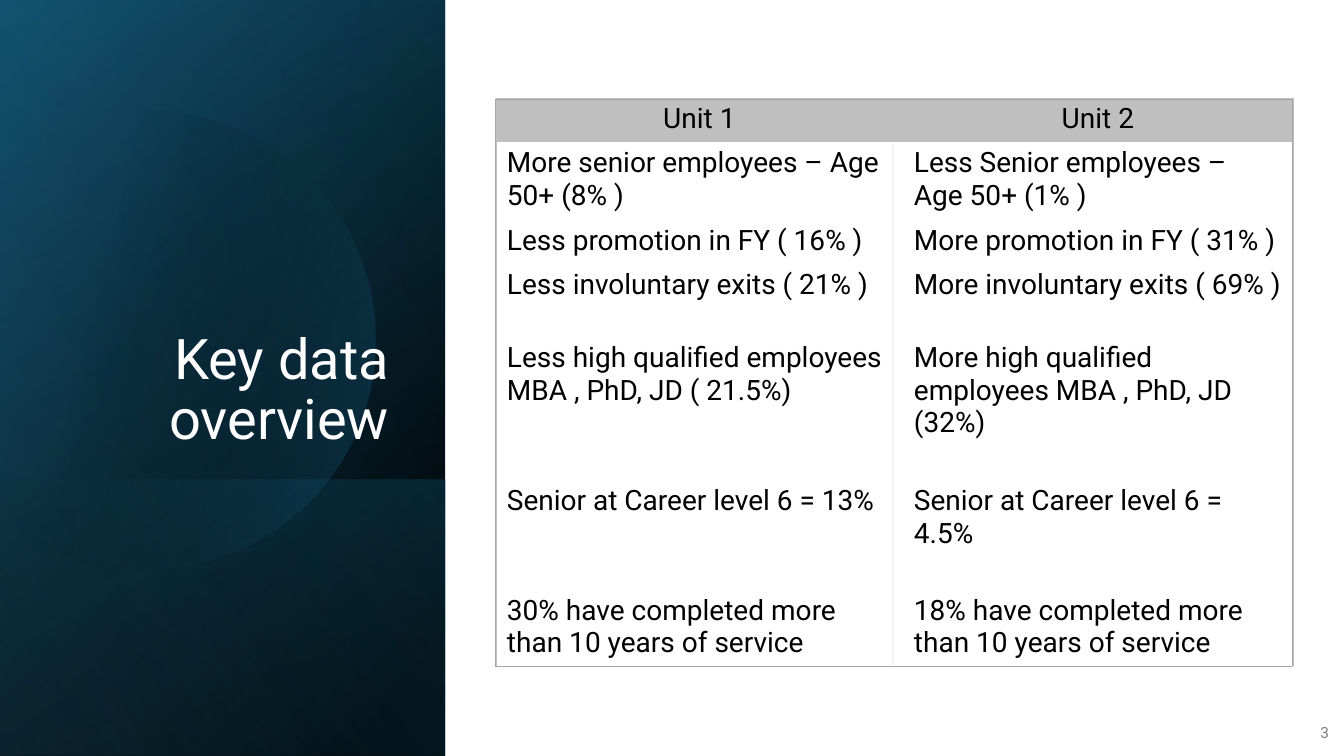
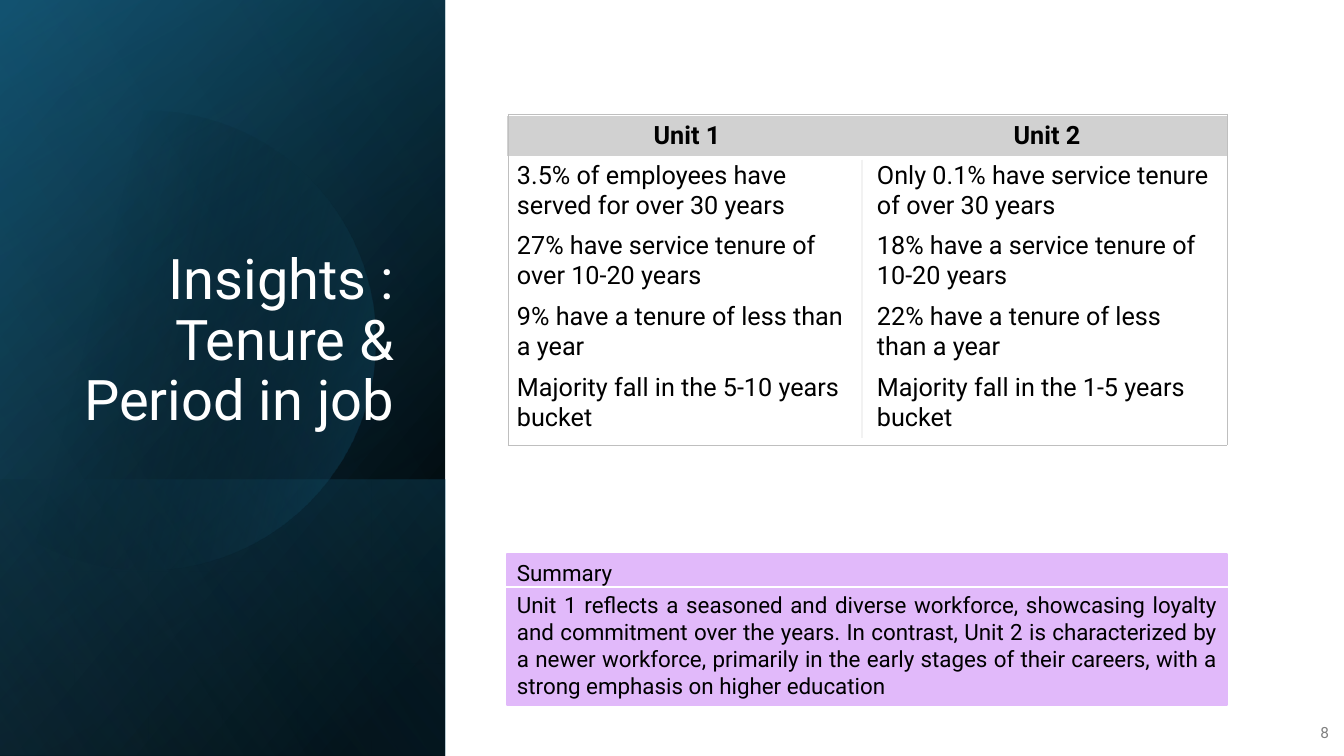
import math

from pptx import Presentation
from pptx import util as u
from pptx.dml.color import RGBColor
from pptx.enum import shapes, text
from pptx.oxml import parse_xml
from pptx.oxml.ns import nsdecls, qn

PX = 914400 / 100.8
WIDTH, HEIGHT = 1344, 756
PANEL_WIDTH = 445
FONT = "Roboto"
PLAIN_TABLE = "{2D5ABB26-0587-4C30-8999-92F81FD0307C}"
COLORS = {
    "black": "000000", "white": "FFFFFF", "number": "808080",
    "navy": "104862", "teal": "156082", "sky": "46B1E1",
    "silver": "BFBFBF", "light": "D1D1D1", "frame": "A6A6A6",
    "divider": "F2F2F2", "summary": "E1B9FA",
}
# Each layer: top, height, gradient angle, stops of (position, colour, opacity)
PANEL_LAYERS = [
    (0, HEIGHT, 50, [(8, "black", 100), (100, "navy", 100)]),
    (0, HEIGHT, 30, [(0, "black", 0), (99, "teal", 46)]),
    (480, 276, 130, [(2, "teal", 29), (100, "black", 30)]),
    "disc",
    (0, HEIGHT, 120, [(0, "black", 0), (99, "sky", 11)]),
]

OVERVIEW_ROWS = [
    ("Unit 1", "Unit 2"),
    ("More senior employees – Age 50+ (8% )", "Less Senior employees – Age 50+ (1% )"),
    ("Less promotion in FY ( 16% )", "More promotion in FY ( 31% )"),
    ("Less involuntary exits ( 21% )", "More involuntary exits ( 69% )"),
    ("Less high qualified employees MBA , PhD, JD ( 21.5%)",
     "More high qualified employees MBA , PhD, JD (32%)"),
    ("Senior at Career level 6 = 13%", "Senior at Career level 6 = 4.5%"),
    ("30% have completed more than 10 years of service",
     "18% have completed more than 10 years of service"),
]
TENURE_ROWS = [
    ("Unit 1", "Unit 2"),
    ("3.5% of employees have served for over 30 years",
     "Only 0.1% have service tenure of over 30 years"),
    ("27% have service tenure of over 10-20 years", "18% have a service tenure of 10-20 years"),
    ("9% have a tenure of less than a year", "22% have a tenure of less than a year"),
    ("Majority fall in the 5-10 years bucket", "Majority fall in the 1-5 years bucket"),
]
SUMMARY = (
    "Unit 1 reflects a seasoned and diverse workforce, showcasing loyalty and commitment "
    "over the years. In contrast, Unit 2 is characterized by a newer workforce, primarily "
    "in the early stages of their careers, with a strong emphasis on higher education"
)


def px(length):
    return u.Emu(round(length * PX))


def place(box):
    return [px(length) for length in box]


def rgb(name):
    return RGBColor.from_string(COLORS[name])


def write(para, words, size, color="black", bold=False, align=text.PP_ALIGN.LEFT):
    para.alignment = align
    span = para.add_run()
    span.text = words
    font = span.font
    font.name, font.size, font.bold = FONT, u.Pt(size), bold
    font.color.rgb = rgb(color)


def fill_gradient(shape, stops, angle):
    """Fill with stops of (position, colour, opacity), without outline."""
    shape.shadow.inherit = False
    shape.line.fill.background()
    shape.fill.gradient()
    marks = "".join(
        f'<a:gs pos="{position * 1000}"><a:srgbClr val="{COLORS[color]}">'
        f'<a:alpha val="{opacity * 1000}"/></a:srgbClr></a:gs>'
        for position, color, opacity in stops)
    gradient = parse_xml(
        f'<a:gradFill {nsdecls("a")}><a:gsLst>{marks}</a:gsLst>'
        f'<a:lin ang="{angle * 60000}" scaled="0"/></a:gradFill>')
    properties = shape.element.spPr
    properties.replace(properties.find(qn("a:gradFill")), gradient)


def add_layer(page, box, stops, angle):
    """Cover the box with a mirrored rectangle turned a quarter, as its gradient needs."""
    left, top, width, height = box
    turned = (left + (width - height) / 2, top + (height - width) / 2, height, width)
    layer = page.shapes.add_shape(shapes.MSO_SHAPE.RECTANGLE, *place(turned))
    layer.rotation = 90
    layer.element.spPr.xfrm.set("flipH", "1")
    fill_gradient(layer, stops, angle)


def add_disc(page, center_x, center_y, radius):
    """Draw a disc cut off by the left edge of the slide."""
    reach = math.acos(-center_x / radius)
    rise = radius * math.sin(reach)
    corners = [(0, center_y - rise), (center_x, center_y - radius),
               (center_x + radius, center_y), (center_x, center_y + radius),
               (0, center_y + rise)]
    outline = page.shapes.build_freeform(*place(corners[0]))
    outline.add_line_segments([place(corner) for corner in corners[1:]], close=True)
    disc = outline.convert_to_shape()
    # One arc takes the place of the straight segments
    segments = list(disc.element.iter(qn("a:lnTo")))
    sweep = round(math.degrees(2 * reach) * 60000)
    start = 360 * 60000 - sweep // 2
    segments[0].addprevious(parse_xml(
        f'<a:arcTo {nsdecls("a")} wR="{px(radius)}" hR="{px(radius)}" '
        f'stAng="{start}" swAng="{sweep}"/>'))
    for segment in segments:
        segment.getparent().remove(segment)
    fill_gradient(disc, [(29, "black", 0), (100, "teal", 43)], 14)


def add_panel(page):
    for layer in PANEL_LAYERS:
        if layer == "disc":
            add_disc(page, 146, 340, 229)
        else:
            top, height, angle, stops = layer
            add_layer(page, (0, top, PANEL_WIDTH, height), stops, angle)


def add_title(page, box, words):
    title = page.shapes.title
    title.left, title.top, title.width, title.height = place(box)
    page.shapes._spTree.append(title.element)
    frame = title.text_frame
    frame.word_wrap = True
    frame.auto_size = text.MSO_AUTO_SIZE.NONE
    frame.vertical_anchor = text.MSO_ANCHOR.BOTTOM
    para = frame.paragraphs[0]
    para.line_spacing = 0.9
    write(para, words, 40, "white", align=text.PP_ALIGN.RIGHT)


def add_number(page, number):
    frame = page.shapes.add_textbox(*place((1290, 712, 49, 40))).text_frame
    frame.word_wrap = True
    frame.vertical_anchor = text.MSO_ANCHOR.MIDDLE
    para = frame.paragraphs[0]
    para.space_after = u.Pt(6)
    write(para, str(number), 11, "number", align=text.PP_ALIGN.RIGHT)


def add_line(page, start, end, color):
    line = page.shapes.add_connector(shapes.MSO_CONNECTOR.STRAIGHT, *place(start + end))
    line.line.color.rgb = rgb(color)
    line.line.width = u.Pt(1.5)
    line.element.spPr.append(parse_xml(f'<a:effectLst {nsdecls("a")}/>'))


def set_borders(cell, sides, color):
    properties = cell._tc.get_or_add_tcPr()
    for index, side in enumerate(sides):
        properties.insert(index, parse_xml(
            f'<a:ln{side} {nsdecls("a")} w="3175"><a:solidFill>'
            f'<a:srgbClr val="{COLORS[color]}"/></a:solidFill></a:ln{side}>'))


def add_plain_table(page, corner, widths, heights):
    box = (*corner, sum(widths), sum(heights))
    table = page.shapes.add_table(len(heights), len(widths), *place(box)).table
    table.first_row = table.horz_banding = False
    table._tbl.tblPr.find(qn("a:tableStyleId")).text = PLAIN_TABLE
    for column, width in zip(table.columns, widths):
        column.width = px(width)
    for row, height in zip(table.rows, heights):
        row.height = px(height)
    for cell in table.iter_cells():
        cell.fill.background()
    return table


def add_comparison(page, corner, widths, heights, rows, size, inset, head,
                   border=None, bold=False):
    """Add a two-unit table with a filled header and an optional outer border."""
    table = add_plain_table(page, corner, widths, heights)
    for index, (row, words) in enumerate(zip(table.rows, rows)):
        for side, cell, entry in zip("LR", row.cells, words):
            cell.margin_left = cell.margin_right = px(inset)
            cell.margin_top = cell.margin_bottom = px(5)
            para = cell.text_frame.paragraphs[0]
            sides = [side]
            if index == 0:
                cell.fill.solid()
                cell.fill.fore_color.rgb = rgb(head)
                write(para, entry, size, bold=bold, align=text.PP_ALIGN.CENTER)
                sides.append("T")
            else:
                write(para, entry, size)
            if index == len(rows) - 1:
                sides.append("B")
            if border:
                set_borders(cell, sides, border)


def add_frame(page, box, color):
    """Add a one-cell table whose borders frame the box."""
    left, top, width, height = box
    table = add_plain_table(page, (left, top), (width,), (height,))
    set_borders(table.cell(0, 0), "LRTB", color)


def add_summary(page, box):
    panel = page.shapes.add_shape(shapes.MSO_SHAPE.RECTANGLE, *place(box))
    panel.shadow.inherit = False
    panel.fill.solid()
    panel.fill.fore_color.rgb = panel.line.color.rgb = rgb("summary")
    panel.line.width = u.Pt(1.5)
    frame = panel.text_frame
    frame.word_wrap = True
    frame.vertical_anchor = text.MSO_ANCHOR.TOP
    write(frame.paragraphs[0], "Summary", 16)
    para = frame.add_paragraph()
    para.space_before = u.Pt(4)
    write(para, SUMMARY, 16, align=text.PP_ALIGN.JUSTIFY)


def add_page(deck, title_box, title, number):
    page = deck.slides.add_slide(deck.slide_layouts[5])
    add_panel(page)
    add_title(page, title_box, title)
    add_number(page, number)
    return page


def add_overview_page(deck):
    page = add_page(deck, (46, 84, 353, 373), "Key data overview", 3)
    add_line(page, (456, 640), (1324, 640), "white")
    add_comparison(page, (496, 98), (407, 390), (44, 77, 44, 73, 143, 110, 77),
                   OVERVIEW_ROWS, 20, 11, "silver", border="silver")
    add_frame(page, (495, 99, 797, 567), "frame")
    add_line(page, (893, 144), (893, 665), "divider")


def add_tenure_page(deck):
    page = add_page(deck, (33, 65, 371, 373), "Insights : Tenure & Period in job", 8)
    add_summary(page, (507, 554, 720, 151))
    add_comparison(page, (507, 116), (360, 360), (40, 70, 71, 71, 71),
                   TENURE_ROWS, 18, 10, "light", bold=True)
    add_frame(page, (508, 114, 719, 331), "silver")
    add_line(page, (482, 587), (1256, 587), "white")
    add_line(page, (862, 160), (862, 438), "divider")


def main():
    deck = Presentation()
    deck.slide_width, deck.slide_height = px(WIDTH), px(HEIGHT)
    add_overview_page(deck)
    add_tenure_page(deck)
    deck.save("out.pptx")


if __name__ == "__main__":
    main()
